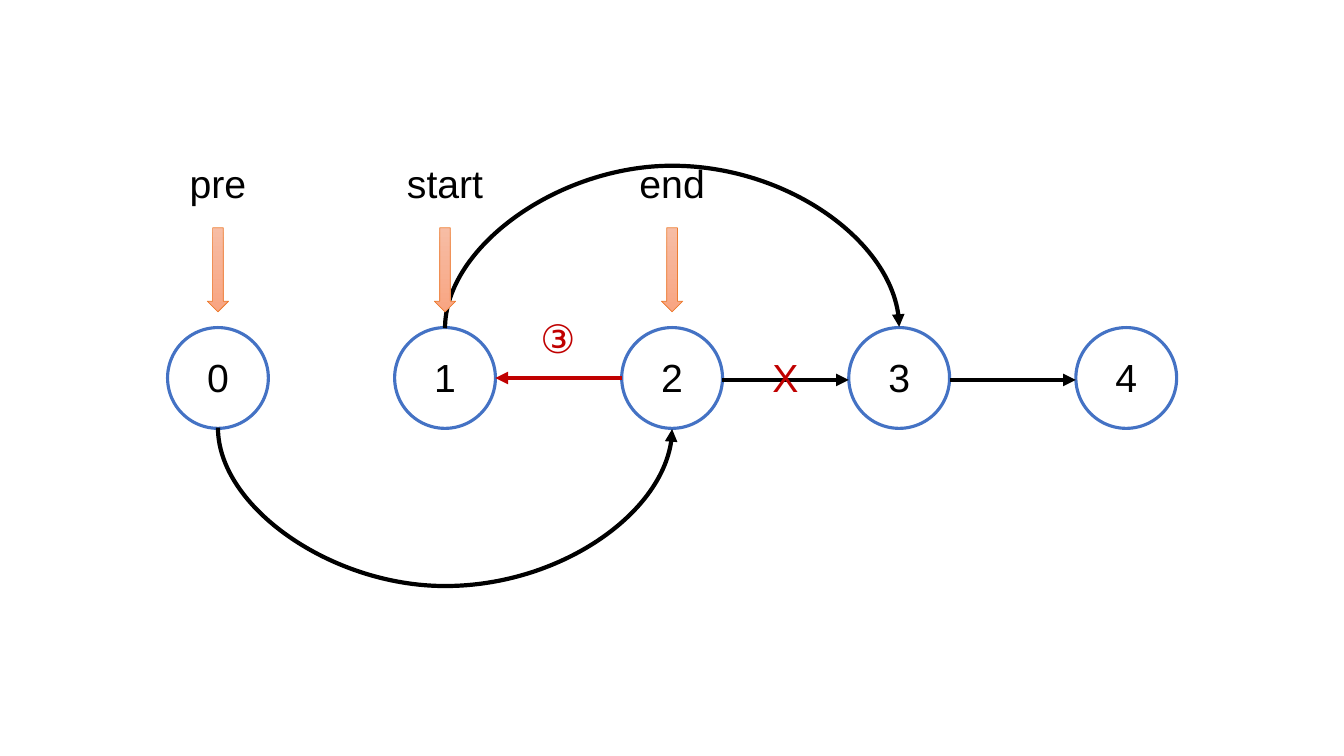
"""Draw a linked list whose nodes 1 and 2 are being swapped."""
from lxml.etree import SubElement
from pptx import Presentation
from pptx.dml.color import RGBColor
from pptx.enum.shapes import MSO_CONNECTOR, MSO_SHAPE
from pptx.enum.text import MSO_AUTO_SIZE, PP_ALIGN
from pptx.oxml.ns import qn
from pptx.util import Pt

COLORS = {
    "node": "4472C4",
    "black": "000000",
    "red": "C00000",
    "pointer_line": "ED7D31",
    "pointer_top": "F7BDA5",
    "pointer_bottom": "F8A582",
}
NODE_SIZE = 72
RADIUS = NODE_SIZE / 2
NODE_CENTERS = [155.7 + 162.2 * index for index in range(5)]
NODE_MIDDLE = 270
LINK_MIDDLE = 271.4
LABEL_HEIGHT = 41.2
NUMBER_TOP = 249.1


def color(name):
    """Return the named colour."""
    return RGBColor.from_string(COLORS[name])


def add_node(slide, center):
    """Add the outlined circle of a node."""
    shape = slide.shapes.add_shape(
        MSO_SHAPE.OVAL, Pt(center - RADIUS), Pt(NODE_MIDDLE - RADIUS), Pt(NODE_SIZE), Pt(NODE_SIZE))
    shape.shadow.inherit = False
    shape.fill.background()
    shape.line.color.rgb = color("node")
    shape.line.width = Pt(2.25)


def add_label(slide, text, center, top, width, color_name="black"):
    """Add a one-line label centred on a point."""
    shape = slide.shapes.add_textbox(Pt(center - width / 2), Pt(top), Pt(width), Pt(LABEL_HEIGHT))
    text_frame = shape.text_frame
    text_frame.text = text
    text_frame.word_wrap = False
    text_frame.auto_size = MSO_AUTO_SIZE.SHAPE_TO_FIT_TEXT
    paragraph = text_frame.paragraphs[0]
    paragraph.alignment = PP_ALIGN.CENTER
    font = paragraph.runs[0].font
    font.name = "Arial"
    font.size = Pt(28)
    font.color.rgb = color(color_name)


def add_pointer(slide, center):
    """Add the block arrow that points down at a node."""
    shape = slide.shapes.add_shape(
        MSO_SHAPE.DOWN_ARROW, Pt(center - 7.6), Pt(162.7), Pt(15.2), Pt(60))
    shape.shadow.inherit = False
    shape.fill.gradient()
    shape.fill.gradient_angle = 270
    for stop, name in zip(shape.fill.gradient_stops, ("pointer_top", "pointer_bottom")):
        stop.color.rgb = color(name)
    shape.line.color.rgb = color("pointer_line")
    shape.line.width = Pt(0.5)


def add_arrow(slide, kind, start, end, color_name="black"):
    """Add a connector with a triangle at its end."""
    connector = slide.shapes.add_connector(kind, *map(Pt, start + end))
    connector.line.color.rgb = color(color_name)
    connector.line.width = Pt(3)
    SubElement(connector.line._get_or_add_ln(), qn("a:tailEnd"), type="triangle")
    SubElement(connector.element.spPr, qn("a:effectLst"))
    return connector


def add_arc(slide, first, last, middle, rotation, flips, bulge):
    """Add a curved arrow between two nodes by turning a tall, thin connector."""
    center = (first + last) / 2
    half_span = (last - first) / 2
    connector = add_arrow(
        slide, MSO_CONNECTOR.CURVE,
        (center - 0.5, middle - half_span), (center + 0.5, middle + half_span))
    properties = connector.element.spPr
    transform = properties.find(qn("a:xfrm"))
    transform.set("rot", str(rotation * 60000))
    for flip in flips:
        transform.set(flip, "1")
    adjustments = properties.find(qn("a:prstGeom")).get_or_add_avLst()
    SubElement(adjustments, qn("a:gd"), name="adj1", fmla=f"val {bulge * 100000}")


def main():
    """Build and save the slide."""
    presentation = Presentation()
    presentation.slide_width = Pt(960)
    presentation.slide_height = Pt(540)
    slide = presentation.slides.add_slide(presentation.slide_layouts[6])

    for center in NODE_CENTERS:
        add_node(slide, center)
    for number, center in enumerate(NODE_CENTERS):
        add_label(slide, str(number), center, NUMBER_TOP, 30)

    for left, right in ((3, 4), (2, 3)):
        add_arrow(slide, MSO_CONNECTOR.STRAIGHT,
                  (NODE_CENTERS[left] + RADIUS, LINK_MIDDLE),
                  (NODE_CENTERS[right] - RADIUS, LINK_MIDDLE))
    add_arc(slide, NODE_CENTERS[0], NODE_CENTERS[2], NODE_MIDDLE + RADIUS, 270, ["flipH"], 114)
    add_arc(slide, NODE_CENTERS[1], NODE_CENTERS[3], NODE_MIDDLE - RADIUS, 90,
            ["flipH", "flipV"], 117)
    add_arrow(slide, MSO_CONNECTOR.STRAIGHT,
              (NODE_CENTERS[2] - RADIUS, NODE_MIDDLE),
              (NODE_CENTERS[1] + RADIUS, NODE_MIDDLE), "red")

    add_label(slide, "③", 398.5, 221, 42.5, "red")
    add_label(slide, "X", 561, NUMBER_TOP, 33, "red")
    pointers = (("pre", 55.4), ("start", 69.8), ("end", 62))
    for (text, width), center in zip(pointers, NODE_CENTERS):
        add_label(slide, text, center, 110.2, width)
        add_pointer(slide, center)

    presentation.save("out.pptx")


if __name__ == "__main__":
    main()
